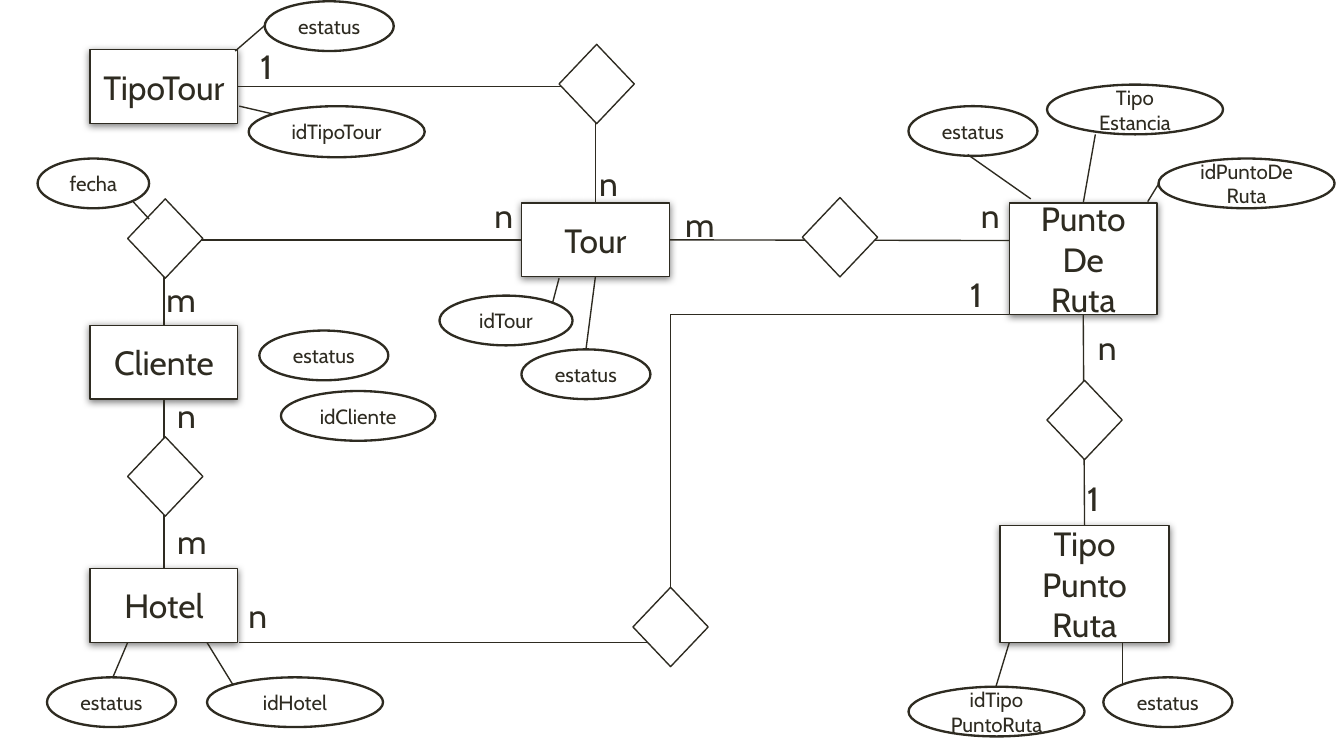
"""Build the entity-relationship diagram of a tour booking database."""
from dataclasses import dataclass

from lxml.etree import SubElement
from pptx import Presentation
from pptx.dml.color import RGBColor
from pptx.enum.shapes import MSO_CONNECTOR, MSO_SHAPE
from pptx.enum.text import MSO_ANCHOR, MSO_AUTO_SIZE, PP_ALIGN
from pptx.oxml.ns import qn
from pptx.util import Inches, Pt


@dataclass(frozen=True)
class Theme:
    """Hold the colours, font, type sizes and line widths."""
    ink: RGBColor = RGBColor(0x2E, 0x2B, 0x21)
    paper: RGBColor = RGBColor(0xFF, 0xFF, 0xFF)
    shadow: str = "000000"
    font: str = "Cabin"
    entity_size: int = 18
    attribute_size: int = 11
    thin: float = 0.75
    thick: float = 1.25


THEME = Theme()

ENTITIES = {
    "Tour": ("Tour", 3.88, 1.51, 1.1, 0.55),
    "Cliente": ("Cliente", 0.67, 2.42, 1.1, 0.55),
    "TipoTour": ("TipoTour", 0.67, 0.37, 1.1, 0.55),
    "PuntoDeRuta": ("Punto\nDe\nRuta", 7.51, 1.51, 1.1, 0.83),
    "Hotel": ("Hotel", 0.67, 4.23, 1.1, 0.55),
    "TipoPuntoRuta": ("Tipo\nPunto\nRuta", 7.44, 3.91, 1.26, 0.87),
}

RELATIONSHIPS = [
    (4.16, 0.33), (4.71, 4.37), (0.95, 3.25),
    (0.95, 1.48), (5.97, 1.47), (7.79, 2.83),
]

ATTRIBUTES = [
    ("Tipo\nEstancia", 7.79, 0.63, 1.31, 0.37),
    ("fecha", 0.28, 1.18, 0.83, 0.37),
    ("idPuntoDeRuta", 8.62, 1.18, 1.31, 0.37),
    ("idTipo\nPuntoRuta", 6.76, 5.11, 1.31, 0.37),
    ("idTour", 3.27, 2.2, 0.99, 0.37),
    ("idTipoTour", 1.85, 0.79, 1.31, 0.38),
    ("idCliente", 2.09, 2.91, 1.15, 0.37),
    ("idHotel", 1.54, 5.04, 1.31, 0.37),
] + [
    ("estatus", left, top, 0.96, 0.37)
    for left, top in [(6.76, 0.79), (8.21, 5.04), (0.35, 5.04),
                      (1.93, 2.46), (1.97, 0.01), (3.88, 2.6)]
]

ATTRIBUTE_LINKS = [
    ((0.99, 1.5), (1.11, 1.63)),
    ((2.04, 0.85), (1.78, 0.79)),
    ((1.97, 0.19), (1.75, 0.38)),
    ((0.84, 5.04), (0.95, 4.78)),
    ((1.73, 5.09), (1.54, 4.78)),
    ((4.11, 2.26), (4.16, 2.07)),
    ((7.2, 1.15), (7.67, 1.48)),
    ((8.62, 1.37), (8.54, 1.5)),
    ((7.41, 5.11), (7.51, 4.78)),
    ((8.35, 5.09), (8.35, 4.78)),
]

CARDINALITIES = [
    ("n", 8.07, 2.38), ("1", 7.99, 3.51), ("n", 7.2, 1.4), ("m", 5, 1.47),
    ("1", 7.12, 1.99), ("n", 1.75, 4.38), ("n", 1.22, 2.89),
    ("m", 1.22, 3.83), ("n", 3.58, 1.4), ("m", 1.14, 2.03),
    ("n", 4.36, 1.16), ("1", 1.84, 0.29),
]
CARDINALITY_WIDTHS = {"n": 0.34, "m": 0.4, "1": 0.33}


def write(frame, wording, size, alignment):
    """Set the wording of a text frame and format its runs."""
    frame.text = wording
    for paragraph in frame.paragraphs:
        paragraph.alignment = alignment
        for run in paragraph.runs:
            run.font.name = THEME.font
            run.font.size = Pt(size)
            run.font.color.rgb = THEME.ink


def add_outlined(slide, preset, box, width, wording="", size=THEME.entity_size):
    """Add a white outlined shape with centred wording."""
    outlined = slide.shapes.add_shape(preset, *map(Inches, box))
    outlined.shadow.inherit = False
    outlined.fill.solid()
    outlined.fill.fore_color.rgb = THEME.paper
    outlined.line.color.rgb = THEME.ink
    outlined.line.width = Pt(width)
    if wording:
        outlined.text_frame.vertical_anchor = MSO_ANCHOR.MIDDLE
        write(outlined.text_frame, wording, size, PP_ALIGN.CENTER)
    return outlined


def add_entity(slide, wording, *box):
    """Add an entity rectangle with a soft shadow below it."""
    entity = add_outlined(slide, MSO_SHAPE.RECTANGLE, box, THEME.thin, wording)
    effects = entity._element.spPr.find(qn("a:effectLst"))
    shadow = SubElement(effects, qn("a:outerShdw"), blurRad=str(Pt(4)),
                        dist=str(Pt(1)), dir="5400000", rotWithShape="0")
    colour = SubElement(shadow, qn("a:srgbClr"), val=THEME.shadow)
    SubElement(colour, qn("a:alpha"), val="50000")
    return entity


def add_link(slide, start, end, kind=MSO_CONNECTOR.STRAIGHT):
    """Add a thin connector between two points."""
    link = slide.shapes.add_connector(kind, *map(Inches, (*start, *end)))
    link.line.color.rgb = THEME.ink
    link.line.width = Pt(THEME.thin)
    SubElement(link._element.spPr, qn("a:effectLst"))
    return link


def add_corner_link(slide, start, end):
    """Add a connector that runs sideways and turns once."""
    link = add_link(slide, start, end, MSO_CONNECTOR.ELBOW)
    link._element.spPr.find(qn("a:prstGeom")).set("prst", "bentConnector2")
    return link


def add_stepped_link(slide, start, end, turn):
    """Add a connector that turns twice, at a share of its width."""
    link = add_link(slide, start, end, MSO_CONNECTOR.ELBOW)
    geometry = link._element.spPr.find(qn("a:prstGeom"))
    adjustments = geometry.find(qn("a:avLst"))
    if adjustments is None:
        adjustments = SubElement(geometry, qn("a:avLst"))
    SubElement(adjustments, qn("a:gd"), name="adj1",
               fmla=f"val {round(turn * 100000)}")


def add_cardinality(slide, wording, left, top):
    """Add a cardinality mark beside a relationship line."""
    box = (left, top, CARDINALITY_WIDTHS[wording], 0.4)
    frame = slide.shapes.add_textbox(*map(Inches, box)).text_frame
    frame.word_wrap = False
    frame.auto_size = MSO_AUTO_SIZE.SHAPE_TO_FIT_TEXT
    write(frame, wording, THEME.entity_size, PP_ALIGN.LEFT)


def add_relationship_lines(slide, entities):
    """Join the entities with straight and bent lines."""
    tour_type = add_corner_link(slide, (1.77, 0.65), (4.43, 1.51))
    tour_type.begin_connect(entities["TipoTour"], 3)
    tour_type.end_connect(entities["Tour"], 0)
    booking = add_corner_link(slide, (3.88, 1.79), (1.23, 2.42))
    booking.begin_connect(entities["Tour"], 1)
    booking.end_connect(entities["Cliente"], 0)
    lodging = add_link(slide, (1.22, 4.23), (1.22, 2.97))
    lodging.begin_connect(entities["Hotel"], 0)
    lodging.end_connect(entities["Cliente"], 2)
    stop_type = add_link(slide, (8.07, 3.91), (8.07, 2.34))
    stop_type.begin_connect(entities["TipoPuntoRuta"], 0)
    stop_type.end_connect(entities["PuntoDeRuta"], 2)
    route = add_link(slide, (4.99, 1.79), (7.51, 1.79))
    route.begin_connect(entities["Tour"], 3)
    add_stepped_link(slide, (1.78, 4.78), (7.51, 2.34), 0.56)


def main():
    """Build the slide and save it."""
    presentation = Presentation()
    presentation.slide_width = Inches(10)
    presentation.slide_height = Inches(10) * 9 // 16
    slide = presentation.slides.add_slide(presentation.slide_layouts[6])
    entities = {key: add_entity(slide, *entity)
                for key, entity in ENTITIES.items()}
    add_relationship_lines(slide, entities)
    for left, top in RELATIONSHIPS:
        add_outlined(slide, MSO_SHAPE.DIAMOND, (left, top, 0.56, 0.59), THEME.thin)
    for wording, *box in ATTRIBUTES:
        add_outlined(slide, MSO_SHAPE.OVAL, box, THEME.thick, wording,
                     THEME.attribute_size)
    for start, end in ATTRIBUTE_LINKS:
        add_link(slide, start, end)
    add_link(slide, (8.15, 1), (8.07, 1.51)).end_connect(entities["PuntoDeRuta"], 0)
    add_link(slide, (4.36, 2.6), (4.43, 2.06)).end_connect(entities["Tour"], 2)
    for cardinality in CARDINALITIES:
        add_cardinality(slide, *cardinality)
    presentation.save("out.pptx")


if __name__ == "__main__":
    main()
